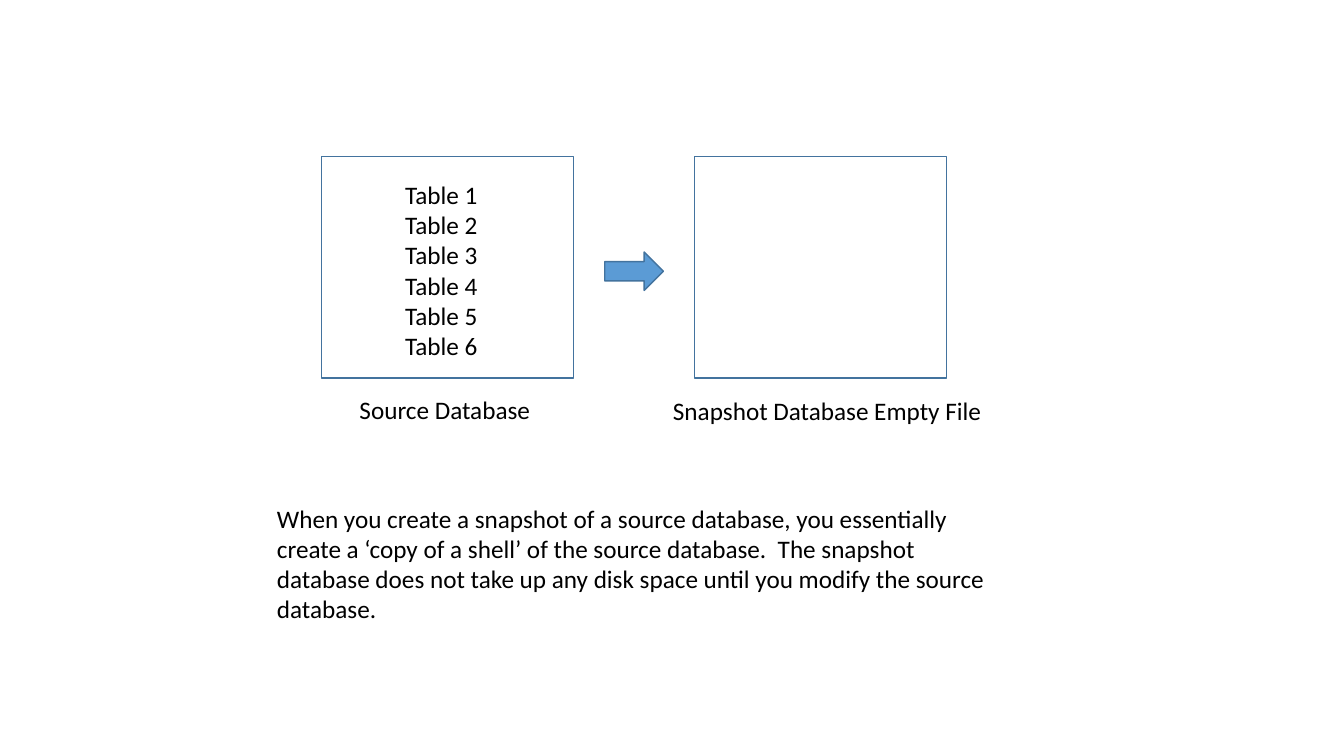
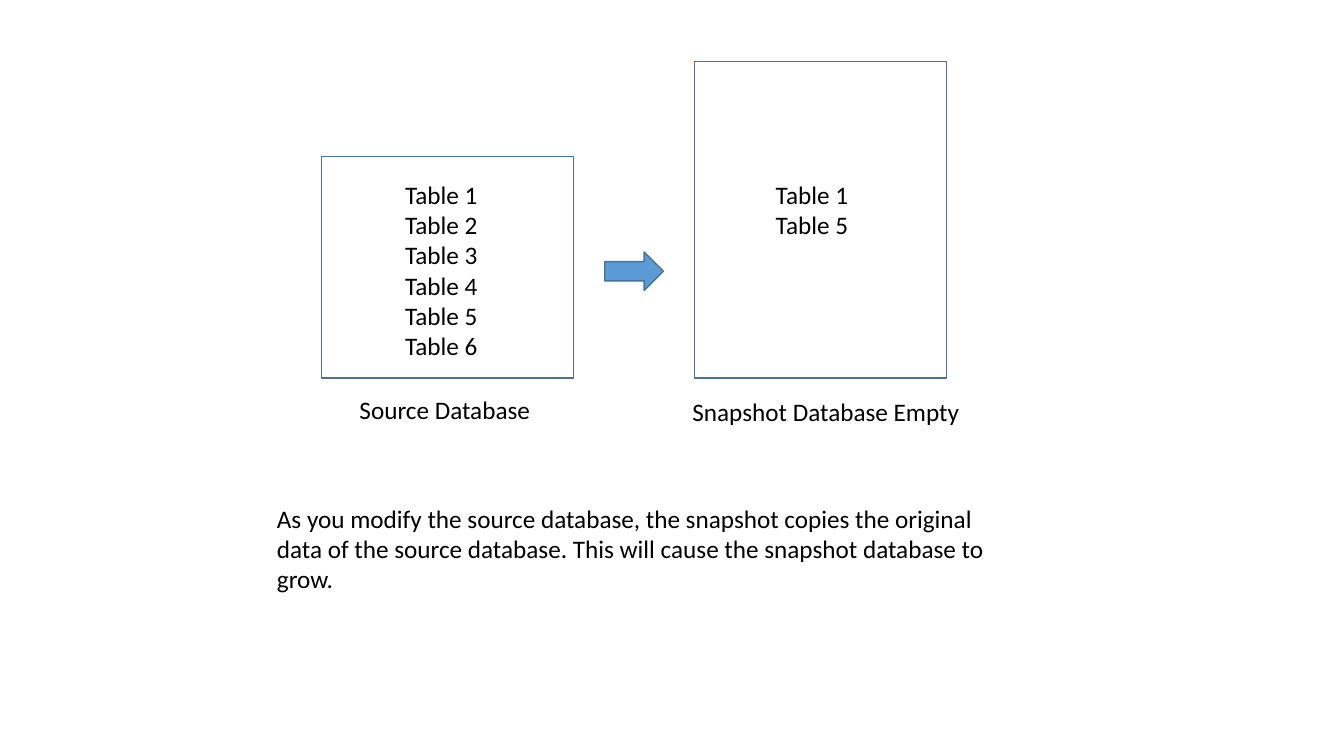
from pptx import Presentation
from pptx.dml.color import RGBColor
from pptx.enum.shapes import MSO_SHAPE
from pptx.enum.text import MSO_AUTO_SIZE
from pptx.util import Cm, Pt

RECTANGLE = MSO_SHAPE.RECTANGLE
RIGHT_ARROW = MSO_SHAPE.RIGHT_ARROW
GROW = MSO_AUTO_SIZE.SHAPE_TO_FIT_TEXT

BLACK = RGBColor(0x00, 0x00, 0x00)
BLUE = RGBColor(0x5B, 0x9B, 0xD5)
DARK_BLUE = RGBColor(0x43, 0x73, 0x9E)
FONT = "Calibri"
BLANK_LAYOUT = 6

# Content; lengths are centimetres
SOURCE_TABLES = [f"Table {number}" for number in range(1, 7)]
SLIDES = [
    {
        "snapshot_top": 3.94,
        "snapshot_tables": [],
        "caption": "Snapshot Database Empty File",
        "caption_at": (16.71, 9.83, 8.31),
        "explanation": "When you create a snapshot of a source database, you "
                       "essentially create a ‘copy of a shell’ of the source "
                       "database.  The snapshot database does not take up any "
                       "disk space until you modify the source database.",
        "explanation_lines": 4,
    },
    {
        "snapshot_top": 1.55,
        "snapshot_tables": ["Table 1", "Table 5"],
        "caption": "Snapshot Database Empty",
        "caption_at": (17.2, 9.86, 7.52),
        "explanation": "As you modify the source database, the snapshot copies "
                       "the original data of the source database. This will "
                       "cause the snapshot database to grow.",
        "explanation_lines": 3,
    },
]

# Shared layout
SOURCE_LEFT, SNAPSHOT_LEFT = 8.1, 17.5
SOURCE_TOP, BOX_BOTTOM = 3.94, 9.53
BOX_WIDTH = 6.35
LIST_TOP, LIST_WIDTH = 4.39, 2.79
LINE_HEIGHT, TEXT_PADDING = 0.76, 0.25


def add_text(slide, lines, left, top, width, line_count=None):
    height = TEXT_PADDING + LINE_HEIGHT * (line_count or len(lines))
    box = slide.shapes.add_textbox(Cm(left), Cm(top), Cm(width), Cm(height))
    frame = box.text_frame
    frame.word_wrap = True
    frame.auto_size = GROW
    frame.text = "\n".join(lines)
    for para in frame.paragraphs:
        para.font.name = FONT
        para.font.size = Pt(18)
        para.font.color.rgb = BLACK


def add_outline(slide, kind, left, top, width, height, fill=None):
    shape = slide.shapes.add_shape(kind, Cm(left), Cm(top), Cm(width), Cm(height))
    shape.shadow.inherit = False
    shape.line.color.rgb = DARK_BLUE
    shape.line.width = Pt(1)
    if fill is None:
        shape.fill.background()
    else:
        shape.fill.solid()
        shape.fill.fore_color.rgb = fill


def add_database(slide, left, top, tables, list_left):
    add_outline(slide, RECTANGLE, left, top, BOX_WIDTH, BOX_BOTTOM - top)
    if tables:
        add_text(slide, tables, list_left, LIST_TOP, LIST_WIDTH)


def build_slide(deck, content):
    slide = deck.slides.add_slide(deck.slide_layouts[BLANK_LAYOUT])

    # Databases and the arrow between them
    add_database(slide, SOURCE_LEFT, SOURCE_TOP, SOURCE_TABLES, 9.96)
    add_database(slide, SNAPSHOT_LEFT, content["snapshot_top"],
                 content["snapshot_tables"], 19.3)
    add_outline(slide, RIGHT_ARROW, 15.24, 6.35, 1.48, 0.97, BLUE)

    # Captions and explanation
    add_text(slide, ["Source Database"], 8.81, 9.8, 4.93)
    add_text(slide, [content["caption"]], *content["caption_at"])
    add_text(slide, [content["explanation"]], 6.73, 12.55, 18.47,
             content["explanation_lines"])


def main():
    deck = Presentation()
    deck.slide_width, deck.slide_height = Cm(33.87), Cm(19.05)
    for content in SLIDES:
        build_slide(deck, content)
    deck.save("out.pptx")


if __name__ == "__main__":
    main()
